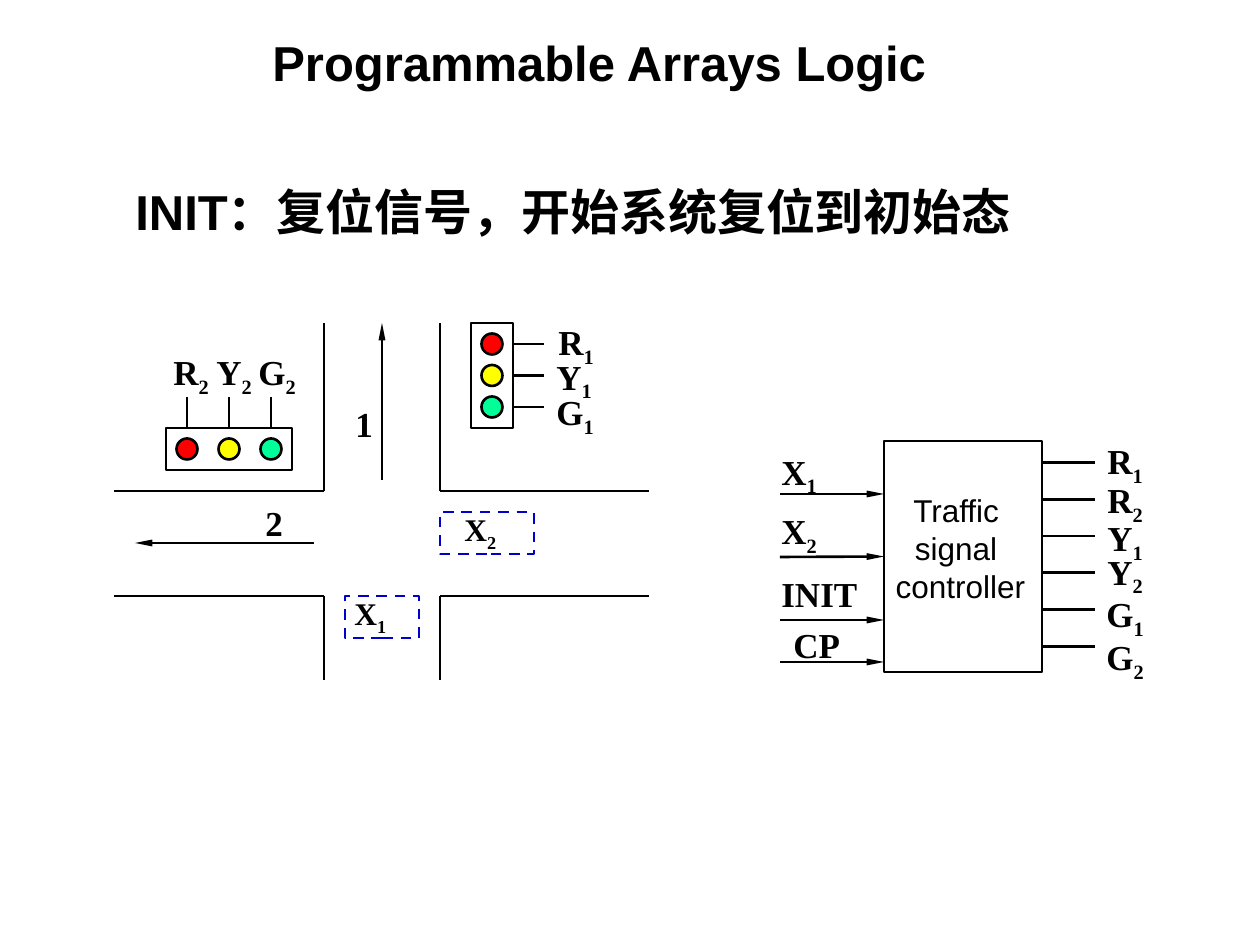
from lxml import etree
from pptx import Presentation
from pptx.dml.color import RGBColor
from pptx.enum.dml import MSO_LINE
from pptx.enum.shapes import MSO_CONNECTOR, MSO_SHAPE
from pptx.enum.text import MSO_AUTO_SIZE, PP_ALIGN
from pptx.oxml.ns import qn
from pptx.util import Pt

STRAIGHT = MSO_CONNECTOR.STRAIGHT
RECTANGLE = MSO_SHAPE.RECTANGLE
OVAL = MSO_SHAPE.OVAL
DASH = MSO_LINE.DASH
JUSTIFY, CENTER, LEFT = PP_ALIGN.JUSTIFY, PP_ALIGN.CENTER, PP_ALIGN.LEFT
FIT_SHAPE = MSO_AUTO_SIZE.SHAPE_TO_FIT_TEXT

EMU_PER_PX = 914400 / 126
TOP, LEFT_SIDE, RIGHT_SIDE = 0, 1, 3
BLACK, BLUE = "000000", "0000CC"
LAMP_COLOURS = ("FF0000", "FFFF00", "00FF99")
LAMP_SIZE = 21


def px(length):
    return round(length * EMU_PER_PX)


def colour(value):
    return RGBColor.from_string(value)


def add_outline(page, kind, left, top, width, height, fill=None, line=BLACK, dash=None):
    shape = page.shapes.add_shape(kind, px(left), px(top), px(width), px(height))
    shape.shadow.inherit = False
    if fill:
        shape.fill.solid()
        shape.fill.fore_color.rgb = colour(fill)
    else:
        shape.fill.background()
    shape.line.color.rgb = colour(line)
    shape.line.width = Pt(1.5)
    if dash:
        shape.line.dash_style = dash
    return shape


def add_line(page, start, end, arrow=False):
    line = page.shapes.add_connector(STRAIGHT, *map(px, start + end))
    line.line.color.rgb = colour(BLACK)
    line.line.width = Pt(1.5)
    if arrow:
        etree.SubElement(line.line._get_or_add_ln(), qn("a:tailEnd"),
                         type="triangle", w="sm", len="lg")
    etree.SubElement(line._element.spPr, qn("a:effectLst"))
    return line


def add_text(page, text, left, top, width, height, size=20, font="Times New Roman",
             bold=True, align=JUSTIFY, wrap=False, subscript=""):
    box = page.shapes.add_textbox(px(left), px(top), px(width), px(height))
    frame = box.text_frame
    frame.word_wrap = wrap
    frame.auto_size = FIT_SHAPE
    for index, words in enumerate(text.split("\n")):
        para = frame.add_paragraph() if index else frame.paragraphs[0]
        para.alignment = align
        for part in filter(None, (words, subscript)):
            span = para.add_run()
            span.text = part
            span.font.size = Pt(size)
            span.font.name = font
            span.font.bold = bold
            span.font.color.rgb = colour(BLACK)
            if part == subscript:
                span._r.get_or_add_rPr().set("baseline", "-25000")


def add_signal(page, name, left, top, **options):
    """Signal name of one letter with a subscript number."""
    width = 64 if name[0] == "G" else 62
    add_text(page, name[0], left, top, width, 54, subscript=name[1], **options)


def add_lamp(page, centre_x, centre_y, fill):
    add_outline(page, OVAL, centre_x - LAMP_SIZE / 2, centre_y - LAMP_SIZE / 2,
                LAMP_SIZE, LAMP_SIZE, fill=fill)


def add_crossroads(page):
    # Four road corners
    for x, far_x, y, far_y in ((324, 114, 491, 323), (440, 649, 491, 323),
                               (324, 114, 596, 680), (440, 649, 596, 680)):
        add_line(page, (x, far_y), (x, y))
        add_line(page, (x, y), (far_x, y))

    # Driving directions
    add_line(page, (382, 480), (382, 323), arrow=True)
    add_line(page, (314, 543), (135, 543), arrow=True)
    add_text(page, "1", 343, 396, 45, 57)
    add_text(page, "2", 253, 495, 45, 57)

    # Vehicle sensors
    add_outline(page, RECTANGLE, 440, 512, 94, 42, line=BLUE, dash=DASH)
    add_outline(page, RECTANGLE, 345, 596, 74, 42, line=BLUE, dash=DASH)
    add_signal(page, "X2", 452, 504, size=18)
    add_signal(page, "X1", 342, 588, size=18)


def add_traffic_lights(page):
    # Light of road 2, lamps side by side
    light = add_outline(page, RECTANGLE, 166, 428, 126, 42)
    for index, fill in enumerate(LAMP_COLOURS):
        x = 187 + 42 * index
        add_lamp(page, x, 449, fill)
        lead = add_line(page, (x, 428), (x, 397))
        if index == 1:
            lead.begin_connect(light, TOP)
    for name, left in (("R2", 161), ("Y2", 204), ("G2", 246)):
        add_signal(page, name, left, 344)

    # Light of road 1, lamps on top of each other
    light = add_outline(page, RECTANGLE, 471, 323, 42, 105)
    for index, fill in enumerate(LAMP_COLOURS):
        y = 344 + 31.5 * index
        add_lamp(page, 492, y, fill)
        lead = add_line(page, (513, y), (544, y))
        if index == 1:
            lead.begin_connect(light, RIGHT_SIDE)
    for name, left, top in (("R1", 546, 314), ("Y1", 544, 349), ("G1", 544, 384)):
        add_signal(page, name, left, top)


def add_controller(page):
    block = add_outline(page, RECTANGLE, 884, 441, 158, 231)
    add_text(page, "Traffic \nsignal \ncontroller", 883, 485, 155, 126, size=18,
             font="Arial", bold=False, align=CENTER)

    # Inputs
    for y in (494, 557, 620, 662):
        wire = add_line(page, (780, y), (884, y), arrow=True)
        if y == 557:
            wire.end_connect(block, LEFT_SIDE)
    add_signal(page, "X1", 769, 444)
    add_signal(page, "X2", 769, 503)
    add_text(page, "INIT", 769, 566, 101, 54)
    add_text(page, "CP", 781, 617, 72, 54)

    # Outputs
    outputs = (("R1", 433), ("R2", 472), ("Y1", 510),
               ("Y2", 544), ("G1", 586), ("G2", 629))
    for index, (name, top) in enumerate(outputs):
        y = 462.5 + 36.75 * index
        add_line(page, (1042, y), (1095, y))
        add_signal(page, name, 1094 if name[0] == "G" else 1095, top)


def main():
    deck = Presentation()
    deck.slide_width, deck.slide_height = px(1260), px(945)
    page = deck.slides.add_slide(deck.slide_layouts[6])

    # Headings
    add_text(page, "Programmable Arrays Logic", 260, 26, 777, 72, size=28,
             font="Arial", align=LEFT, wrap=True)
    add_text(page, "INIT：复位信号，开始系统复位到初始态", 123, 175, 922, 72, size=28,
             font="Arial", wrap=True)

    add_controller(page)
    add_crossroads(page)
    add_traffic_lights(page)
    deck.save("out.pptx")


if __name__ == "__main__":
    main()
